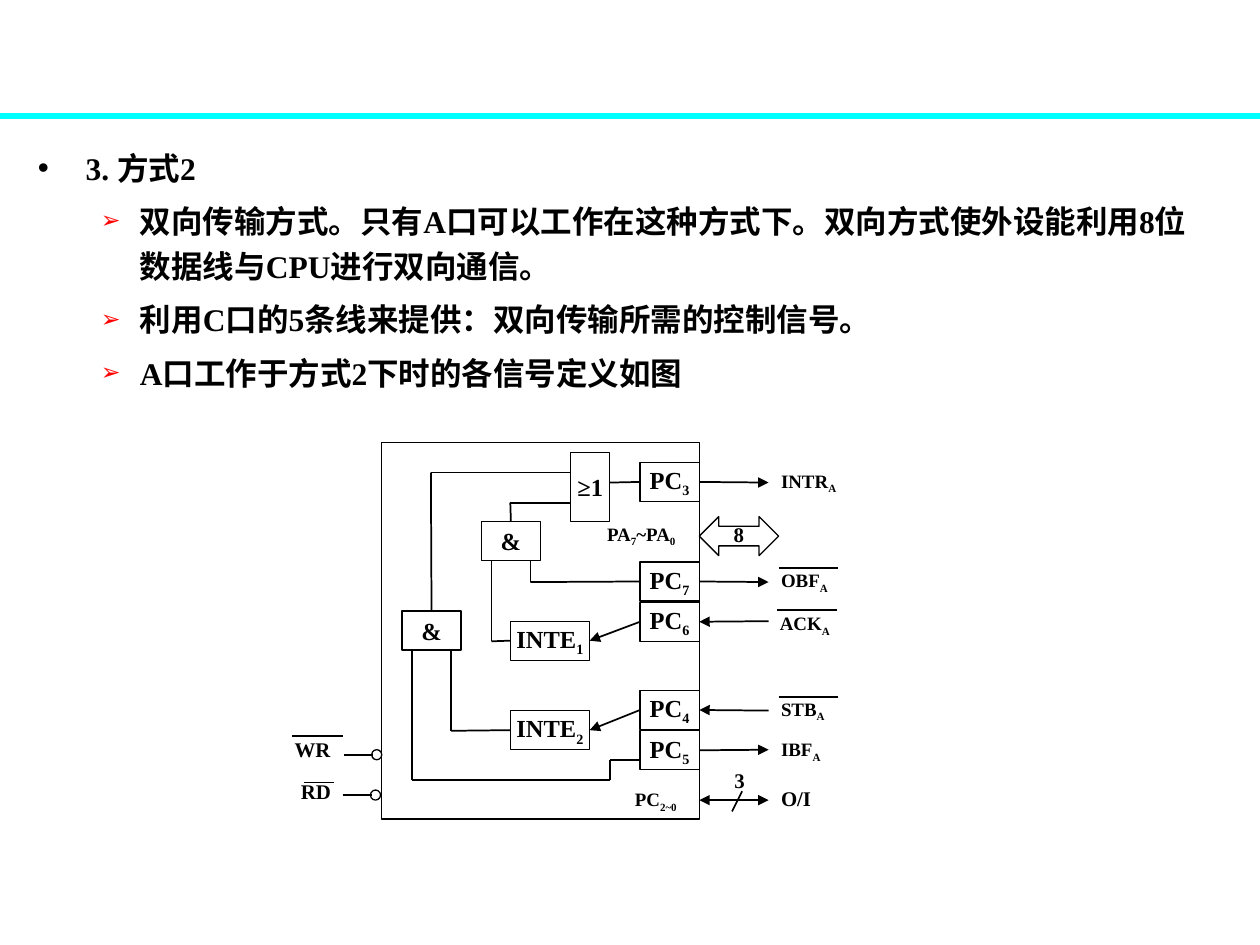
from dataclasses import dataclass
from itertools import pairwise

from lxml.etree import SubElement
from pptx import Presentation
from pptx.dml.color import RGBColor
from pptx.enum.shapes import MSO_CONNECTOR, MSO_SHAPE
from pptx.enum.text import MSO_ANCHOR, MSO_AUTO_SIZE, PP_ALIGN
from pptx.oxml.ns import qn
from pptx.util import Inches, Pt


@dataclass(frozen=True)
class Theme:
    font: str = "Times New Roman"
    ink: str = "000000"
    rule: str = "00FFFF"
    mark: str = "FF0000"
    body: float = 18
    block: float = 14
    label: float = 10.8
    plain: float = 11.9
    edge: float = 0.75
    wire: float = 1


@dataclass(frozen=True)
class Block:
    text: str
    x: float
    y: float
    w: float = 0.47
    h: float = 0.31


@dataclass(frozen=True)
class Label:
    text: str
    x: float
    y: float
    w: float = 0.79
    size: float = 10.8
    gap: float = 0.8


@dataclass(frozen=True)
class Wire:
    points: tuple
    head: bool = False
    tail: bool = False


THEME = Theme()
EDGE = 5.55  # right side of the chip
PIN = EDGE - 0.47
TIP = 6.1

BULLETS = [
    "双向传输方式。只有A口可以工作在这种方式下。双向方式使外设能利用8位数据线与CPU进行双向通信。",
    "利用C口的5条线来提供：双向传输所需的控制信号。",
    "A口工作于方式2下时的各信号定义如图",
]
BLOCKS = [
    Block("PC_3", PIN, 3.67), Block("PC_7", PIN, 4.46), Block("PC_6", PIN, 4.78),
    Block("PC_4", PIN, 5.48), Block("PC_5", PIN, 5.8),
    Block("INTE_1", 4.05, 4.93, 0.63), Block("INTE_2", 4.05, 5.64, 0.63),
    Block("≥1", 4.53, 3.59, 0.31, 0.55),
    Block("&", 3.82, 4.14), Block("&", 3.19, 4.85),
]
LABELS = [
    Label("PA_7_~PA_0", 4.72, 4.09, 1.1),
    Label("INTR_A", TIP, 3.67), Label("OBF_A", TIP, 4.46),
    Label("ACK_A", 6.09, 4.8), Label("STB_A", TIP, 5.48),
    Label("IBF_A", TIP, 5.8), Label("PC_2~0", 4.94, 6.2, 0.71),
    Label("O/I", TIP, 6.19, 0.79, THEME.plain, 0.9),
    Label("WR", 2.24, 5.8, 0.55, THEME.plain, 0.9),
    Label("RD", 2.29, 6.14, 0.55, THEME.plain, 0.9),
    Label("3", 5.73, 6.05, 0.31, THEME.plain, 0.9),
]
PINS = [  # y, arrow at the chip, arrow at the outer end
    (3.83, False, True), (4.62, False, True), (4.93, True, False),
    (5.64, True, False), (5.95, False, True), (6.35, True, True),
]
BARS = [(6.18, 6.65, 4.51), (6.17, 6.64, 4.84), (6.18, 6.65, 5.53),
        (2.32, 2.72, 5.84), (2.41, 2.65, 6.21)]
INPUTS = [(2.73, 5.99), (2.72, 6.31)]
WIRES = [
    Wire(((PIN, 4.93), (4.68, 5.09)), tail=True),
    Wire(((PIN, 5.64), (4.68, 5.8)), tail=True),
    Wire(((4.84, 3.83), (PIN, 3.83))),
    Wire(((3.42, 4.85), (3.42, 3.75), (4.53, 3.75))),
    Wire(((4.05, 4.14), (4.05, 3.99), (4.53, 3.99))),
    Wire(((4.21, 4.45), (4.21, 4.62), (PIN, 4.62))),
    Wire(((3.9, 4.45), (3.9, 5.09), (4.05, 5.09))),
    Wire(((3.58, 5.16), (3.58, 5.8), (4.05, 5.8))),
    Wire(((3.27, 5.16), (3.27, 6.19), (4.84, 6.19), (4.84, 6.03), (PIN, 6.03))),
    Wire(((5.81, 6.44), (5.89, 6.28))),
]


def color(code: str) -> RGBColor:
    return RGBColor.from_string(code)


def write(para, text: str, *, size: float, gap: float = 1, align=None) -> None:
    """Fill a paragraph; underscores switch subscript on and off."""
    para.line_spacing = gap
    if align is not None:
        para.alignment = align
    for i, part in enumerate(text.split("_")):
        run = para.add_run()
        run.text = part
        run.font.name = THEME.font
        run.font.size = Pt(size)
        run.font.bold = True
        run.font.color.rgb = color(THEME.ink)
        if i % 2:
            run._r.get_or_add_rPr().set("baseline", "-25000")


def bullet(para, char: str, tint: str, scale: int, left: float, hang: float) -> None:
    props = para._p.get_or_add_pPr()
    props.set("marL", str(Inches(left)))
    props.set("indent", str(-Inches(hang)))
    SubElement(SubElement(props, qn("a:buClr")), qn("a:srgbClr"), val=tint)
    SubElement(props, qn("a:buSzPct"), val=str(scale * 1000))
    SubElement(props, qn("a:buChar"), char=char)


def shape(slide, kind, x: float, y: float, w: float, h: float):
    item = slide.shapes.add_shape(kind, Inches(x), Inches(y), Inches(w), Inches(h))
    item.shadow.inherit = False
    item.fill.background()
    item.line.color.rgb = color(THEME.ink)
    item.line.width = Pt(THEME.edge)
    return item


def box(slide, block: Block):
    item = shape(slide, MSO_SHAPE.RECTANGLE, block.x, block.y, block.w, block.h)
    frame = item.text_frame
    frame.margin_left = frame.margin_right = frame.margin_top = frame.margin_bottom = 0
    frame.vertical_anchor = MSO_ANCHOR.MIDDLE
    write(frame.paragraphs[0], block.text, size=THEME.block, align=PP_ALIGN.CENTER)
    return item


def tag(slide, label: Label) -> None:
    item = slide.shapes.add_textbox(
        Inches(label.x), Inches(label.y), Inches(label.w), Inches(0.31))
    item.text_frame.word_wrap = True
    item.text_frame.vertical_anchor = MSO_ANCHOR.MIDDLE
    write(item.text_frame.paragraphs[0], label.text, size=label.size, gap=label.gap)


def line(slide, start: tuple, end: tuple, *, tint: str = THEME.ink,
         width: float = THEME.wire, head: bool = False, tail: bool = False):
    item = slide.shapes.add_connector(
        MSO_CONNECTOR.STRAIGHT, *(Inches(v) for v in (*start, *end)))
    item.line.color.rgb = color(tint)
    item.line.width = Pt(width)
    stroke = item.line._get_or_add_ln()
    for name, shown in (("a:headEnd", head), ("a:tailEnd", tail)):
        if shown:
            SubElement(stroke, qn(name), type="triangle")
    SubElement(item._element.spPr, qn("a:effectLst"))
    return item


def port(point: tuple, boxes: list):
    """Find the box and side whose middle lies at the point."""
    for block, item in boxes:
        x, y, w, h = block.x, block.y, block.w, block.h
        sides = ((x + w / 2, y), (x, y + h / 2), (x + w / 2, y + h), (x + w, y + h / 2))
        for i, side in enumerate(sides):
            if max(abs(side[0] - point[0]), abs(side[1] - point[1])) < 0.02:
                return item, i
    return None


def route(slide, wire: Wire, boxes: list) -> None:
    for start, end in pairwise(wire.points):
        item = line(slide, start, end, head=wire.head, tail=wire.tail)
        if spot := port(start, boxes):
            item.begin_connect(*spot)
        if spot := port(end, boxes):
            item.end_connect(*spot)


def outline(slide) -> None:
    body = slide.placeholders[1]
    body.left, body.top, body.width, body.height = (
        Inches(v) for v in (0.2, 1.07, 9.37, 2.44))
    frame = body.text_frame
    frame.auto_size = MSO_AUTO_SIZE.NONE
    first = frame.paragraphs[0]
    first.space_before = Pt(0)
    bullet(first, "•", THEME.ink, 100, 0.38, 0.38)
    write(first, "3. 方式2", size=THEME.body, gap=1.2)
    for text in BULLETS:
        para = frame.add_paragraph()
        para.level = 1
        para.space_before = Pt(4.5)
        bullet(para, "➢", THEME.mark, 75, 0.81, 0.31)
        write(para, text, size=THEME.body, gap=1.2)


def main() -> None:
    deck = Presentation()
    deck.slide_width, deck.slide_height = Inches(10), Inches(7.5)
    slide = deck.slides.add_slide(deck.slide_layouts[1])
    title = slide.shapes.title._element
    title.getparent().remove(title)
    line(slide, (0, 0.92), (10, 0.92), tint=THEME.rule, width=3)
    outline(slide)

    shape(slide, MSO_SHAPE.RECTANGLE, 3.03, 3.51, 2.52, 2.99)
    bus = shape(slide, MSO_SHAPE.LEFT_RIGHT_ARROW, EDGE, 4.1, 0.63, 0.31)
    bus.text_frame.vertical_anchor = MSO_ANCHOR.MIDDLE
    write(bus.text_frame.paragraphs[0], "8", size=THEME.plain, gap=0.9,
          align=PP_ALIGN.CENTER)
    boxes = [(block, box(slide, block)) for block in BLOCKS]
    pins = [Wire(((EDGE, y), (TIP, y)), head, tail) for y, head, tail in PINS]
    for wire in pins + WIRES:
        route(slide, wire, boxes)
    for label in LABELS:
        tag(slide, label)
    for left, right, y in BARS:
        line(slide, (left, y), (right, y))
    for x, y in INPUTS:
        line(slide, (x, y), (x + 0.23, y))
        shape(slide, MSO_SHAPE.OVAL, x + 0.22, y - 0.04, 0.08, 0.08)
    deck.save("out.pptx")


if __name__ == "__main__":
    main()
